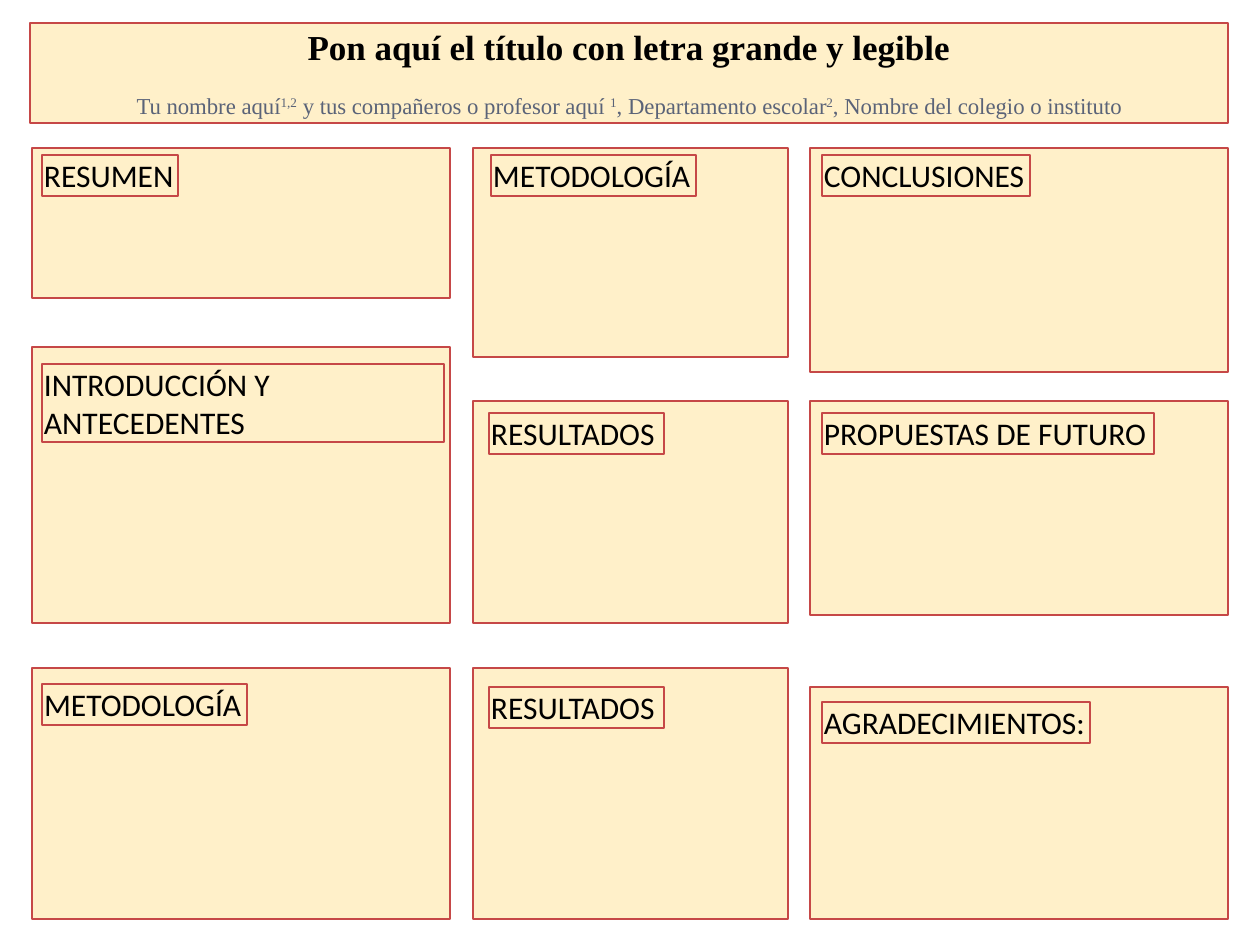
from pptx import Presentation
from pptx.dml.color import RGBColor
from pptx.enum.shapes import MSO_SHAPE
from pptx.enum.text import MSO_ANCHOR, MSO_AUTO_SIZE, PP_ALIGN
from pptx.util import Emu, Pt

PX = 914400 / 126  # EMU per pixel


def px(*lengths):
    return [Emu(round(length * PX)) for length in lengths]


def style_box(box, line_width, inset_x=2, inset_y=1):
    box.fill.solid()
    box.fill.fore_color.rgb = RGBColor.from_string("FFF0C9")
    box.line.color.rgb = RGBColor.from_string("C64847")
    box.line.width = Pt(line_width)
    frame = box.text_frame
    frame.word_wrap = True
    frame.auto_size = MSO_AUTO_SIZE.NONE
    frame.vertical_anchor = MSO_ANCHOR.TOP
    frame.margin_left, frame.margin_right = px(inset_x, inset_x)
    frame.margin_top, frame.margin_bottom = px(inset_y, inset_y)


prs = Presentation()
prs.slide_width, prs.slide_height = px(1260, 945)
slide = prs.slides.add_slide(prs.slide_layouts[5])

# Header: poster title and authors
header = slide.shapes.title
header.left, header.top, header.width, header.height = px(30, 23, 1198, 100)
style_box(header, 1, inset_y=2)
heading = header.text_frame.paragraphs[0]
heading.text = "Pon aquí el título con letra grande y legible"
authors = header.text_frame.add_paragraph()
authors.space_before = Pt(14)
for text, superscript in [
    ("Tu nombre aquí", False),
    ("1,2", True),
    (" y tus compañeros o profesor aquí ", False),
    ("1", True),
    (", Departamento escolar", False),
    ("2", True),
    (", Nombre del colegio o instituto", False),
]:
    run = authors.add_run()
    run.text = text
    if superscript:
        run.font._element.set("baseline", "30000")
for line, size, color, bold in [(heading, 20, "000000", True), (authors, 13, "5A6378", False)]:
    line.alignment = PP_ALIGN.CENTER
    line.font.name = "Times New Roman"
    line.font.size = Pt(size)
    line.font.bold = bold
    line.font.color.rgb = RGBColor.from_string(color)

# Columns: left, width, then sections as
# (panel top, panel height, label, label left, label top, label width, label height)
columns = [
    (32, 418, [
        (148, 150, "RESUMEN", 42, 155, 136, 41),
        (347, 276, "INTRODUCCIÓN Y ANTECEDENTES", 42, 364, 402, 78),
        (668, 251, "METODOLOGÍA", 42, 684, 205, 41),
    ]),
    (473, 315, [
        (148, 209, "METODOLOGÍA", 491, 155, 205, 41),
        (401, 222, "RESULTADOS", 489, 413, 175, 41),
        (668, 251, "RESULTADOS", 489, 687, 175, 41),
    ]),
    (810, 418, [
        (148, 224, "CONCLUSIONES", 822, 155, 208, 41),
        (401, 214, "PROPUESTAS DE FUTURO", 822, 413, 332, 41),
        (687, 232, "AGRADECIMIENTOS:", 822, 702, 268, 41),
    ]),
]
for left, width, sections in columns:
    for top, height, title, *label_area in sections:
        panel = slide.shapes.add_shape(MSO_SHAPE.RECTANGLE, *px(left, top, width, height))
        label = slide.shapes.add_shape(MSO_SHAPE.RECTANGLE, *px(*label_area))
        for box in (panel, label):
            box.shadow.inherit = False
            style_box(box, 0.75)
        caption = label.text_frame.paragraphs[0]
        caption.text = title
        caption.alignment = PP_ALIGN.LEFT
        caption.font.name = "Calibri"
        caption.font.size = Pt(18)
        caption.font.color.rgb = RGBColor.from_string("000000")

prs.save("out.pptx")
